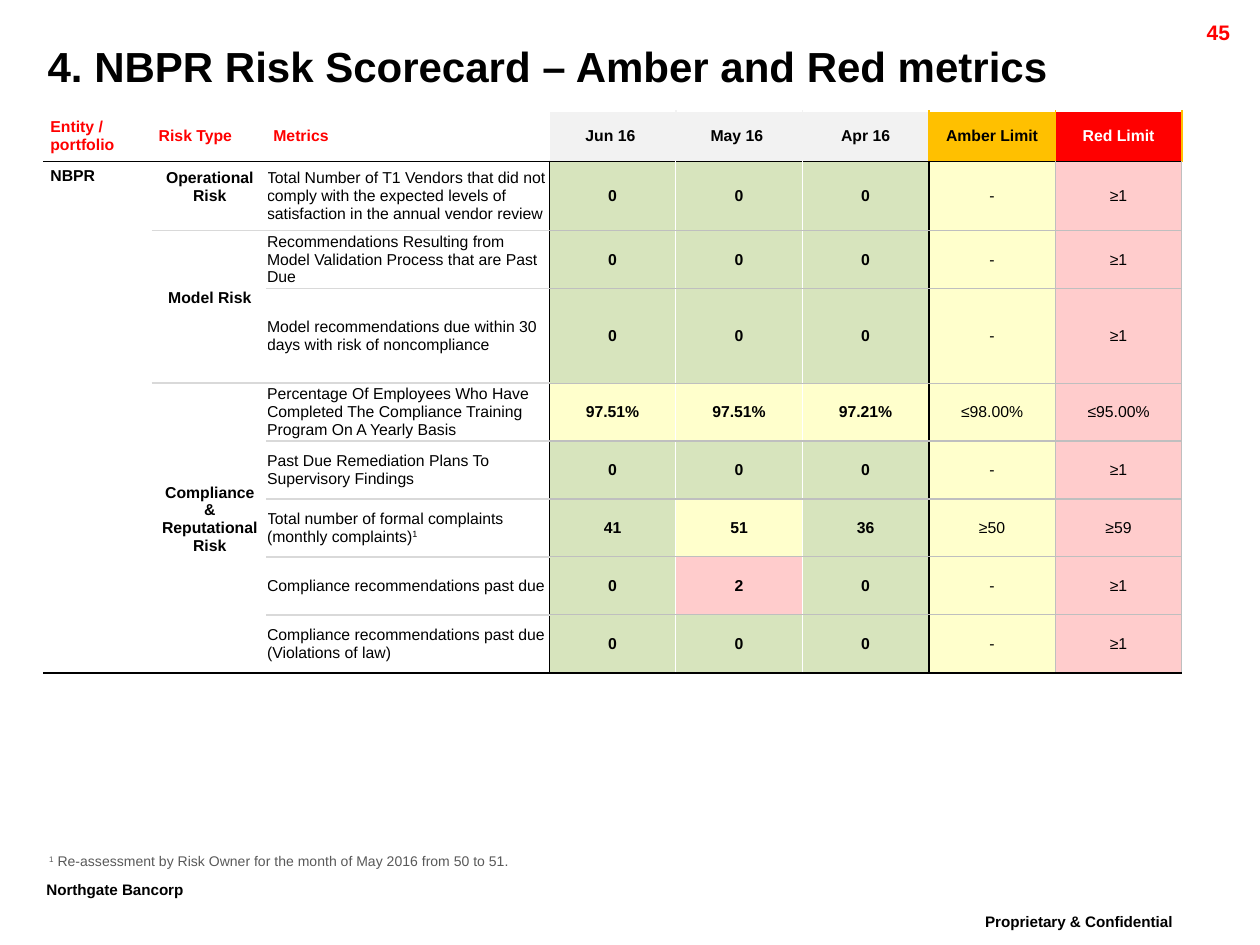
from lxml import etree
from pptx import Presentation
from pptx.dml.color import RGBColor
from pptx.enum.text import MSO_ANCHOR, PP_ALIGN
from pptx.oxml.ns import qn
from pptx.util import Inches, Pt

LEFT, CENTER, RIGHT = PP_ALIGN.LEFT, PP_ALIGN.CENTER, PP_ALIGN.RIGHT
TOP, MIDDLE, BOTTOM = MSO_ANCHOR.TOP, MSO_ANCHOR.MIDDLE, MSO_ANCHOR.BOTTOM
BLACK, WHITE, RED, AMBER = "000000", "FFFFFF", "FF0000", "FFC000"
PALE_GRAY, LIGHT_GRAY, MID_GRAY = "F2F2F2", "D9D9D9", "BFBFBF"
STATUS_FILLS = {"G": "D7E4BD", "A": "FFFFCC", "R": "FFCCCC"}
SUPERSCRIPT = 30000

TABLE_WIDTH = 9.03
LABEL_WIDTHS = [0.86, 0.91, 2.24]
ROW_HEIGHTS = [0.37, 0.4, 0.55, 0.46, 0.75] + [0.46] * 5
HEADERS = [
    ("Entity / portfolio", RED, None),
    ("Risk Type", RED, None),
    ("Metrics", RED, None),
    ("Jun 16 ", BLACK, PALE_GRAY),
    ("May 16 ", BLACK, PALE_GRAY),
    ("Apr 16", BLACK, PALE_GRAY),
    ("Amber Limit", BLACK, AMBER),
    ("Red Limit", WHITE, RED),
]
METRICS = [
    ("Total Number of T1 Vendors that did not comply with the expected levels of "
     "satisfaction in the annual vendor review", "", "GGG", ["0", "0", "0", "-", "≥1"]),
    ("Recommendations Resulting from Model Validation Process that are Past Due", "",
     "GGG", ["0", "0", "0", "-", "≥1"]),
    ("Model recommendations due within 30 days with risk of noncompliance", "",
     "GGG", ["0", "0", "0", "-", "≥1"]),
    ("Percentage Of Employees Who Have Completed The Compliance Training Program "
     "On A Yearly Basis", "", "AAA",
     ["97.51%", "97.51%", "97.21%", "≤98.00%", "≤95.00%"]),
    ("Past Due Remediation Plans To Supervisory Findings", "", "GGG",
     ["0", "0", "0", "-", "≥1"]),
    ("Total number of formal complaints (monthly complaints)", "1", "GAG",
     ["41", "51", "36", "≥50", "≥59"]),
    ("Compliance recommendations past due", "", "GRG", ["0", "2", "0", "-", "≥1"]),
    ("Compliance recommendations past due (Violations of law)", "", "GGG",
     ["0", "0", "0", "-", "≥1"]),
]
FIRST_METRIC_ROW = 2
RISK_TYPES = [("Operational Risk", 2, 2), ("Model Risk", 3, 4),
              ("Compliance & Reputational Risk", 5, 9)]
HEADER_VERTICALS = [(color, 1) for color in [WHITE] * 4 + [PALE_GRAY] * 2 + [AMBER] * 3]
BODY_VERTICALS = ([(WHITE, 1)] * 3 + [(BLACK, 1)] + [(WHITE, 0.75)] * 2
                  + [(BLACK, 1)] + [(MID_GRAY, 0.75)] * 2)


def rgb(color):
    """Turn a hex string into a colour."""
    return RGBColor.from_string(color)


def add_run(paragraph, text, size, color=BLACK, bold=False, baseline=0):
    """Append one formatted run."""
    run = paragraph.add_run()
    run.text = text
    run.font.name = "Arial"
    run.font.size = Pt(size)
    run.font.bold = bold
    run.font.color.rgb = rgb(color)
    if baseline:
        run.font._element.set("baseline", str(baseline))


def add_text(slide, box, runs, align=LEFT, anchor=TOP, inset=None, wrap=True):
    """Add a text box whose runs are tuples of add_run arguments."""
    frame = slide.shapes.add_textbox(*map(Inches, box)).text_frame
    frame.word_wrap = wrap
    frame.vertical_anchor = anchor
    if inset is not None:
        frame.margin_left = frame.margin_right = Inches(inset)
        frame.margin_top = frame.margin_bottom = Inches(inset)
    paragraph = frame.paragraphs[0]
    paragraph.alignment = align
    for run in runs:
        add_run(paragraph, *run)


def fill_cell(cell, runs, align=LEFT, fill=None, anchor=MIDDLE, inset=0):
    """Write 9 point runs into a cell and set its fill and insets."""
    cell.vertical_anchor = anchor
    cell.margin_left = cell.margin_right = Inches(inset)
    cell.margin_top = cell.margin_bottom = Inches(inset)
    if fill:
        cell.fill.solid()
        cell.fill.fore_color.rgb = rgb(fill)
    paragraph = cell.text_frame.paragraphs[0]
    paragraph.alignment = align
    for text, *style in runs:
        add_run(paragraph, text, 9, *style)


def horizontal_edge(boundary, column):
    """Give colour and width of the line above the row numbered boundary."""
    if boundary in (FIRST_METRIC_ROW, len(ROW_HEIGHTS)):
        return BLACK, 1
    group_starts = [first for _, first, _ in RISK_TYPES]
    if boundary < FIRST_METRIC_ROW or column == 0:
        return WHITE, 1
    if column == 1:
        return (LIGHT_GRAY if boundary in group_starts else WHITE), 1
    return (LIGHT_GRAY, 1) if column == 2 else (MID_GRAY, 0.75)


def vertical_edge(row, boundary):
    """Give colour and width of the line left of the column numbered boundary."""
    if row == 0:
        return WHITE, 1
    return (HEADER_VERTICALS if row == 1 else BODY_VERTICALS)[boundary]


def set_borders(cell, row, column):
    """Draw the four edges of a cell."""
    bottom = row + (cell.span_height if cell.is_merge_origin else 1)
    edges = {"a:lnL": vertical_edge(row, column),
             "a:lnR": vertical_edge(row, column + 1),
             "a:lnT": horizontal_edge(row, column),
             "a:lnB": horizontal_edge(bottom, column)}
    properties = cell._tc.get_or_add_tcPr()
    for tag, (color, width) in edges.items():
        line = etree.SubElement(properties, qn(tag), w=str(Pt(width)))
        solid = etree.SubElement(line, qn("a:solidFill"))
        etree.SubElement(solid, qn("a:srgbClr"), val=color)


def add_scorecard(slide):
    """Add the scorecard table."""
    value_count = len(HEADERS) - len(LABEL_WIDTHS)
    value_width = (TABLE_WIDTH - sum(LABEL_WIDTHS)) / value_count
    frame = slide.shapes.add_table(
        len(ROW_HEIGHTS), len(HEADERS), Inches(0.35), Inches(0.51),
        Inches(TABLE_WIDTH), Inches(sum(ROW_HEIGHTS)))
    table = frame.table
    table.first_row = table.horz_banding = False
    for column, width in zip(table.columns, LABEL_WIDTHS + [value_width] * value_count):
        column.width = Inches(width)
    for row, height in zip(table.rows, ROW_HEIGHTS):
        row.height = Inches(height)

    table.cell(0, 0).merge(table.cell(0, len(HEADERS) - 1))
    for _, first, last in RISK_TYPES:
        if last > first:
            table.cell(first, 1).merge(table.cell(last, 1))
    for row in range(len(ROW_HEIGHTS)):
        for column in range(len(HEADERS)):
            cell = table.cell(row, column)
            set_borders(cell, row, column)
            cell.fill.background()
            cell.margin_top = cell.margin_bottom = 0

    for column, (label, color, fill) in enumerate(HEADERS):
        fill_cell(table.cell(1, column), [(label, color, True)],
                  CENTER if fill else LEFT, fill, inset=0.05)
    fill_cell(table.cell(FIRST_METRIC_ROW, 0), [("NBPR", BLACK, True)],
              anchor=TOP, inset=0.05)
    for risk_type, first, _ in RISK_TYPES:
        cell = table.cell(first, 1)
        fill_cell(cell, [(risk_type, BLACK, True)], CENTER, inset=0.05)
        cell.margin_bottom = Inches(0.19)
    for row, (metric, note, statuses, values) in enumerate(METRICS, FIRST_METRIC_ROW):
        runs = [(metric,)]
        if note:
            runs.append((note, BLACK, False, SUPERSCRIPT))
        fill_cell(table.cell(row, 2), runs)
        for column, (value, status) in enumerate(zip(values, statuses + "AR"), 3):
            fill_cell(table.cell(row, column), [(value, BLACK, column < 6)],
                      CENTER, STATUS_FILLS[status])


def main():
    """Build the risk scorecard slide."""
    deck = Presentation()
    deck.slide_width, deck.slide_height = Inches(10), Inches(7.5)
    slide = deck.slides.add_slide(deck.slide_layouts[6])
    add_text(slide, (7.72, 7.17, 2.18, 0.35),
             [("Proprietary & Confidential", 15, BLACK, True, SUPERSCRIPT)])
    add_text(slide, (0.27, 6.91, 1.49, 0.35),
             [("Northgate Bancorp", 15, BLACK, True, SUPERSCRIPT)], wrap=False)
    add_scorecard(slide)
    add_text(slide, (0.28, 0.27, 9.72, 0.5),
             [("4. NBPR Risk Scorecard – Amber and Red metrics", 24, BLACK, True)])
    add_text(slide, (0.39, 6.77, 9.27, 0.13),
             [("1", 8, "595959", False, SUPERSCRIPT),
              (" Re-assessment by Risk Owner for the month of May 2016 from 50 to 51.",
               8, "595959")], anchor=BOTTOM, inset=0)
    add_text(slide, (8.91, 0.11, 0.95, 0.24), [("45", 12, RED, True)], RIGHT)
    deck.save("out.pptx")


if __name__ == "__main__":
    main()
